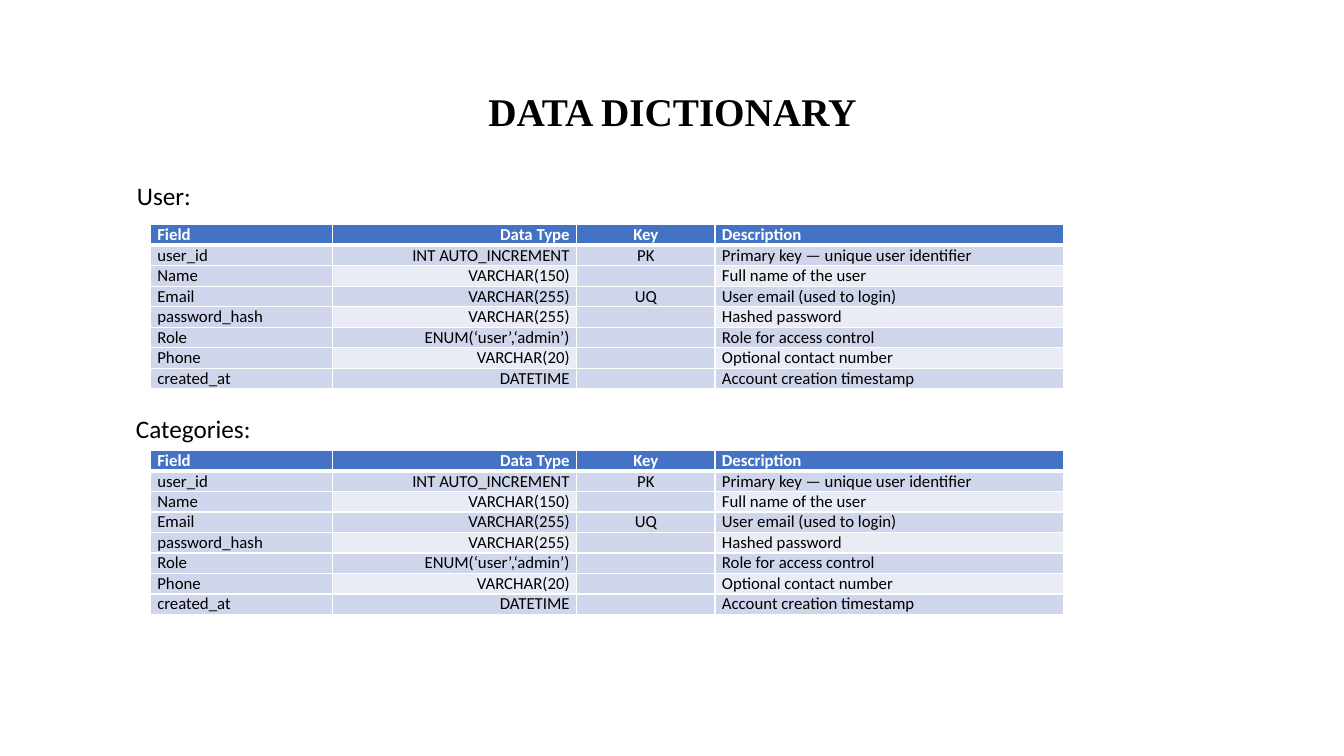
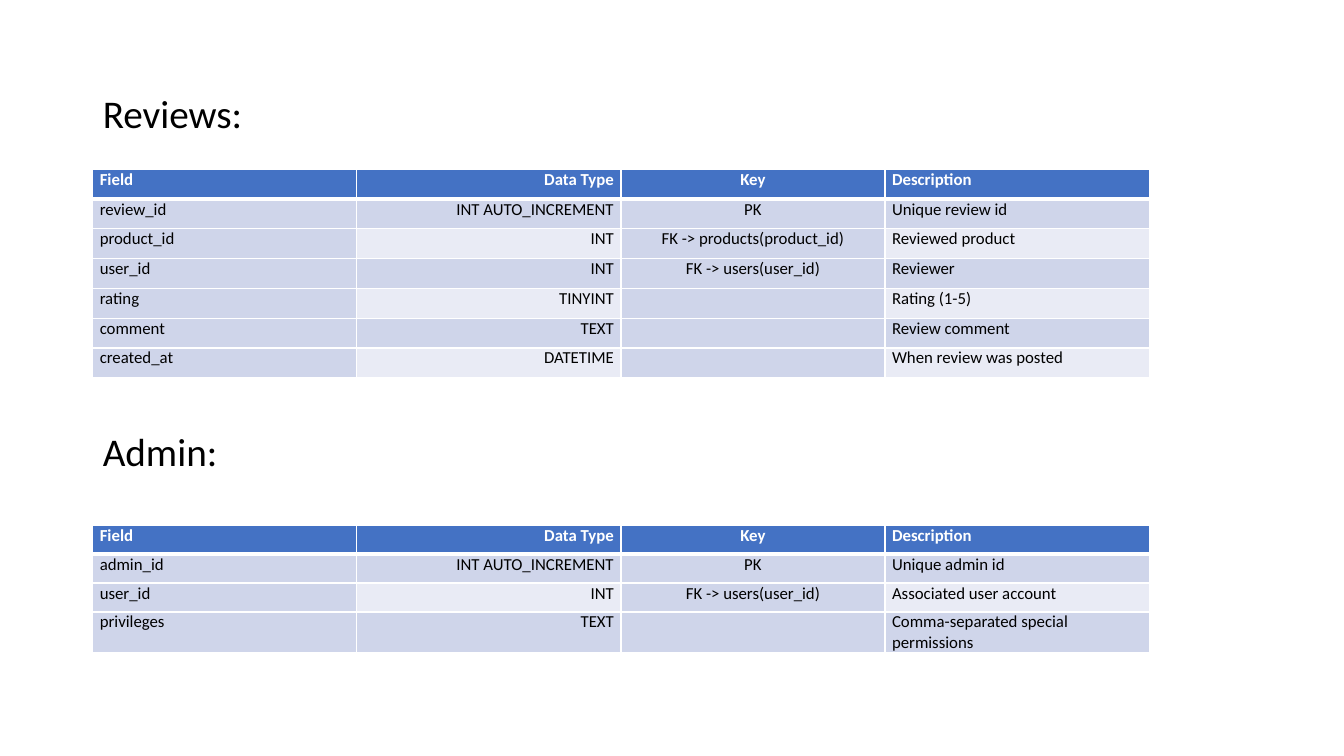
from lxml import etree
from pptx import Presentation
from pptx.dml.color import RGBColor
from pptx.enum.text import MSO_ANCHOR, MSO_AUTO_SIZE, PP_ALIGN
from pptx.oxml.ns import qn
from pptx.util import Inches, Pt

LEFT, CENTER, RIGHT = PP_ALIGN.LEFT, PP_ALIGN.CENTER, PP_ALIGN.RIGHT
MIDDLE, TOP = MSO_ANCHOR.MIDDLE, MSO_ANCHOR.TOP
NO_FIT = MSO_AUTO_SIZE.NONE

COLORS = {"ink": "000000", "paper": "FFFFFF", "header": "4472C4",
          "band": "CFD5EA", "light": "E9EBF5"}
BODY_FONT, TITLE_FONT = "Calibri", "Times New Roman"
COLUMN_ALIGN = [LEFT, RIGHT, CENTER, LEFT]
HEADER = ("Field", "Data Type", "Key", "Description")

prs = Presentation()
prs.slide_width, prs.slide_height = Inches(13.33), Inches(7.5)
COL, ROW = prs.slide_width / 100, prs.slide_height / 100  # percent grid
MARGIN, CONTENT_WIDTH = 6.9, 86.25


def write(paragraph, text, size=12, font=BODY_FONT, color="ink", bold=False,
          align=LEFT, spacing=1.0, before=0):
    paragraph.alignment = align
    paragraph.line_spacing = spacing
    paragraph.space_before = Pt(before)
    if not text:  # an empty cell still needs its text size
        end = etree.SubElement(paragraph._p, qn("a:endParaRPr"))
        end.set("sz", str(size * 100))
        return
    run = paragraph.add_run()
    run.text = text
    run.font.size, run.font.name, run.font.bold = Pt(size), font, bold
    run.font.color.rgb = RGBColor.from_string(COLORS[color])


def add_dictionary(slide, fields, left, top, widths, row_height):
    rows = [HEADER, *fields]
    table = slide.shapes.add_table(
        len(rows), len(widths), int(left * COL), int(top * ROW),
        int(sum(widths) * COL), int(len(rows) * row_height * ROW)).table
    table.horz_banding = False
    for column, width in zip(table.columns, widths):
        column.width = int(width * COL)
    for r, values in enumerate(rows):
        table.rows[r].height = int(row_height * ROW)
        for c, value in enumerate(values):
            cell = table.cell(r, c)
            cell.margin_left = cell.margin_right = Inches(0.07)
            cell.margin_top = cell.margin_bottom = 0
            write(cell.text_frame.paragraphs[0], value, bold=r == 0,
                  color="ink" if r else "paper", align=COLUMN_ALIGN[c])
            # Even rows are light in every second column
            fill = "header" if r == 0 else "light" if r % 2 == 0 and c % 2 else "band"
            cell.fill.solid()
            cell.fill.fore_color.rgb = RGBColor.from_string(COLORS[fill])
            # White borders, thicker under the header
            thickness = {"lnL": 1, "lnR": 1, "lnT": 3 if r == 1 else 1,
                         "lnB": 3 if r == 0 else 1}
            for i, (side, points) in enumerate(thickness.items()):
                line = etree.Element(qn("a:" + side), w=str(Pt(points)))
                solid = etree.SubElement(line, qn("a:solidFill"))
                etree.SubElement(solid, qn("a:srgbClr"), val=COLORS["paper"])
                cell._tc.get_or_add_tcPr().insert(i, line)


USER_FIELDS = [
    ("user_id", "INT AUTO_INCREMENT", "PK", "Primary key — unique user identifier"),
    ("Name", "VARCHAR(150)", "", "Full name of the user"),
    ("Email", "VARCHAR(255)", "UQ", "User email (used to login)"),
    ("password_hash", "VARCHAR(255)", "", "Hashed password"),
    ("Role", "ENUM(‘user’,‘admin’)", "", "Role for access control"),
    ("Phone", "VARCHAR(20)", "", "Optional contact number"),
    ("created_at", "DATETIME", "", "Account creation timestamp"),
]
REVIEW_FIELDS = [
    ("review_id", "INT AUTO_INCREMENT", "PK", "Unique review id"),
    ("product_id", "INT", "FK -> products(product_id)", "Reviewed product"),
    ("user_id", "INT", "FK -> users(user_id)", "Reviewer"),
    ("rating", "TINYINT", "", "Rating (1-5)"),
    ("comment", "TEXT", "", "Review comment"),
    ("created_at", "DATETIME", "", "When review was posted"),
]
ADMIN_FIELDS = [
    ("admin_id", "INT AUTO_INCREMENT", "PK", "Unique admin id"),
    ("user_id", "INT", "FK -> users(user_id)", "Associated user account"),
    ("privileges", "TEXT", "", "Comma-separated special permissions"),
]

# Slide 1: title, user and category tables
slide = prs.slides.add_slide(prs.slide_layouts[5])
title = slide.shapes.title
title.left, title.top = int(MARGIN * COL), int(5.33 * ROW)
title.width, title.height = int(CONTENT_WIDTH * COL), int(19.33 * ROW)
title.text_frame.vertical_anchor = MIDDLE
write(title.text_frame.paragraphs[0], "DATA DICTIONARY", size=28,
      font=TITLE_FONT, bold=True, align=CENTER, spacing=0.9)

for label, left, top, width, table_top in [
        ("User:", 9.45, 23.2, 8.4, 29.73),
        ("Categories:", 9.38, 54, 12.98, 59.6)]:
    add_dictionary(slide, USER_FIELDS, 11.18, table_top,
                   [13.58, 18.16, 10.28, 25.95], 2.71)
    heading = slide.shapes.add_textbox(int(left * COL), int(top * ROW),
                                       int(width * COL), int(5.33 * ROW))
    heading.text_frame.word_wrap = True
    write(heading.text_frame.paragraphs[0], label, size=18)

# Slide 2: review and admin tables under headings in the body
slide = prs.slides.add_slide(prs.slide_layouts[1])
unused_title = slide.shapes.title.element
unused_title.getparent().remove(unused_title)
headings = slide.placeholders[1]
headings.left, headings.top = int(MARGIN * COL), int(11.87 * ROW)
headings.width, headings.height = int(CONTENT_WIDTH * COL), int(78.13 * ROW)
frame = headings.text_frame
frame.auto_size, frame.vertical_anchor = NO_FIT, TOP
for paragraph, label, before in [(frame.paragraphs[0], "Reviews:", 0),
                                 (frame.add_paragraph(), "Admin:", 211)]:
    properties = paragraph._p.get_or_add_pPr()
    properties.set("marL", "0")
    properties.set("indent", "0")
    etree.SubElement(properties, qn("a:buNone"))
    write(paragraph, label, size=28, spacing=0.9, before=before)

for fields, top, row_height in [(REVIEW_FIELDS, 22.4, 3.94),
                                (ADMIN_FIELDS, 69.47, 3.83)]:
    add_dictionary(slide, fields, MARGIN, top, [19.65] * 4, row_height)

prs.save("out.pptx")
